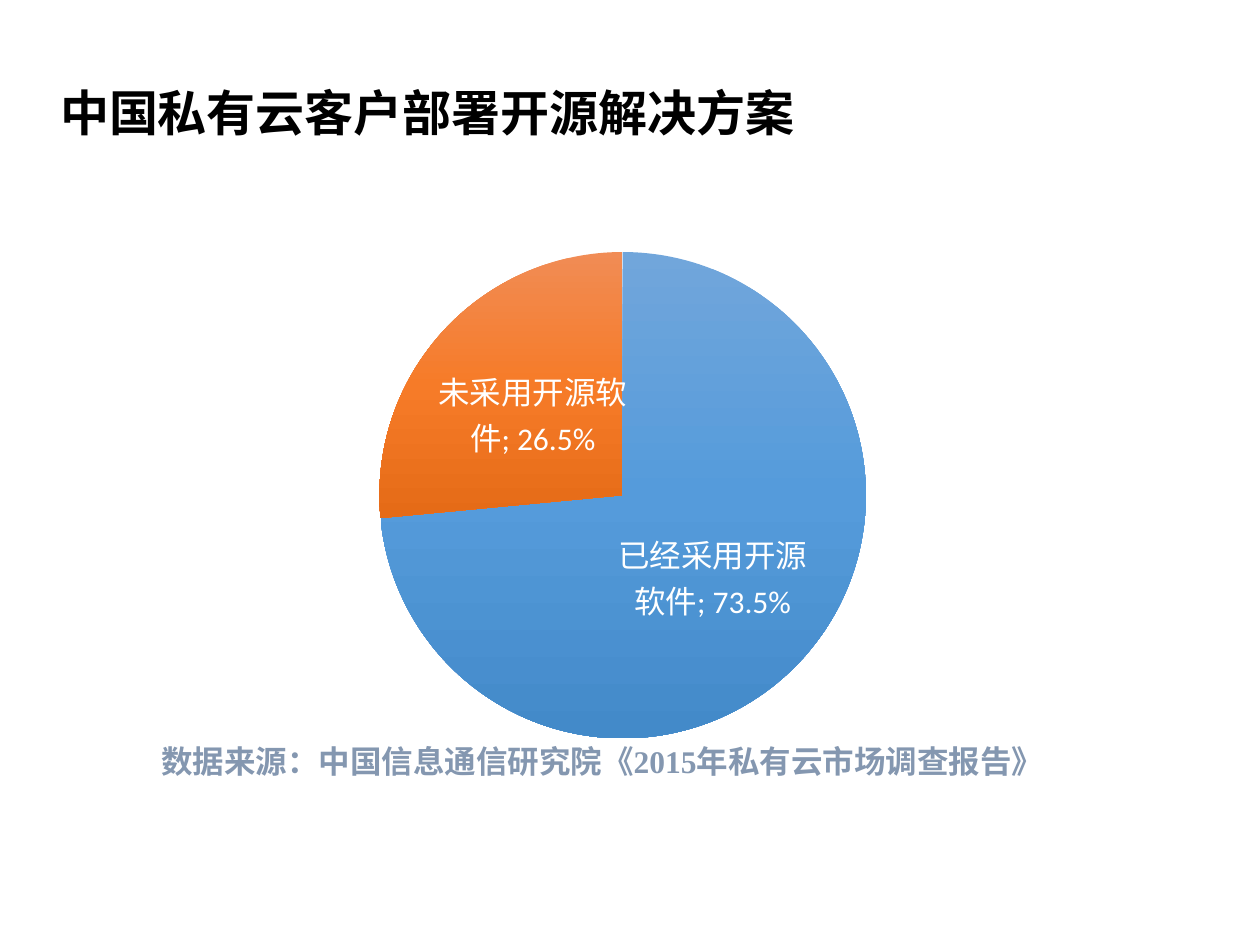
from lxml import etree
from pptx import Presentation
from pptx.chart.data import CategoryChartData
from pptx.dml.color import RGBColor
from pptx.enum import chart as ch, text
from pptx.oxml.ns import qn
from pptx.util import Pt

BLACK = RGBColor(0x00, 0x00, 0x00)
WHITE = RGBColor(0xFF, 0xFF, 0xFF)
SLATE = RGBColor(0x84, 0x97, 0xB0)
BLUES = (RGBColor(0x71, 0xA6, 0xDB), RGBColor(0x55, 0x9B, 0xDB), RGBColor(0x43, 0x8A, 0xC9))
ORANGES = (RGBColor(0xF1, 0x8C, 0x55), RGBColor(0xF6, 0x7B, 0x28), RGBColor(0xE5, 0x6B, 0x17))
CJK = "Noto Sans CJK JP"


def place(sp, left, top, width, height):
    sp.left, sp.top, sp.width, sp.height = Pt(left), Pt(top), Pt(width), Pt(height)


def write(sp, words, size, font, color, align):
    tf = sp.text_frame
    tf.word_wrap = True
    tf.auto_size = text.MSO_AUTO_SIZE.NONE
    tf.vertical_anchor = text.MSO_ANCHOR.MIDDLE
    p = tf.paragraphs[0]
    p.alignment = align
    p.line_spacing = 1.0
    r = p.add_run()
    r.text = words
    r.font.size = Pt(size)
    r.font.bold = True
    r.font.name = font
    r.font.color.rgb = color
    etree.SubElement(r.font._element, qn("a:ea"), typeface=CJK)


def fill_gradient(fill, colors):
    fill.gradient()
    fill.gradient_angle = 270
    stops = fill._xPr.find(qn("a:gradFill")).find(qn("a:gsLst"))
    for stop in list(stops):
        stops.remove(stop)
    for i, color in enumerate(colors):
        stop = etree.SubElement(stops, qn("a:gs"), pos=str(i * 50000))
        etree.SubElement(stop, qn("a:srgbClr"), val=str(color))


def set_plot_layout(chart, **fractions):
    area = chart._chartSpace.find(".//" + qn("c:plotArea"))
    layout = area.find(qn("c:layout"))
    if layout is None:
        layout = etree.Element(qn("c:layout"))
        area.insert(0, layout)
    manual = etree.SubElement(layout, qn("c:manualLayout"))
    settings = {"layoutTarget": "inner", "xMode": "edge", "yMode": "edge", **fractions}
    for name, value in settings.items():
        etree.SubElement(manual, qn("c:" + name), val=str(value))


def label_slices(plot):
    plot.has_data_labels = True
    labels = plot.data_labels
    labels.show_category_name = True
    labels.show_value = True
    labels.show_percentage = False
    labels.number_format = "0.0%"
    labels.number_format_is_linked = False
    labels.position = ch.XL_LABEL_POSITION.CENTER
    labels.font.size = Pt(18)
    labels.font.name = "Calibri"
    labels.font.color.rgb = WHITE
    separator = etree.Element(qn("c:separator"))
    separator.text = "; "
    last_flag = labels._element.find(qn("c:showBubbleSize"))
    if last_flag is None:
        last_flag = labels._element.find(qn("c:showPercent"))
    last_flag.addnext(separator)


def add_pie(s, shares, palettes, left, top, width, height):
    data = CategoryChartData(number_format="0.0%")
    data.categories = list(shares)
    data.add_series("Series 1", list(shares.values()))
    frame = s.shapes.add_chart(ch.XL_CHART_TYPE.PIE, Pt(left), Pt(top), Pt(width), Pt(height), data)
    chart = frame.chart
    chart.has_legend = False
    chart.has_title = False
    chart.font.size = Pt(18)
    chart.font.name = "Calibri"
    plot = chart.plots[0]
    plot.vary_by_categories = True
    for i, colors in enumerate(palettes):
        point = plot.series[0].points[i]
        fill_gradient(point.format.fill, colors)
        point.format.line.fill.background()
    label_slices(plot)
    set_plot_layout(chart, x=0.2, y=0, w=0.61, h=1)


def add_source(s, words, left, top, width, height):
    sp = s.shapes.add_textbox(Pt(left), Pt(top), Pt(width), Pt(height))
    write(sp, words, 18, "Times New Roman", SLATE, text.PP_ALIGN.LEFT)


def main():
    prs = Presentation()
    prs.slide_width, prs.slide_height = Pt(720), Pt(540)
    s = prs.slides.add_slide(prs.slide_layouts[5])
    title = s.shapes.title
    place(title, 14.4, 43.2, 459.4, 41)
    write(title, "中国私有云客户部署开源解决方案", 28, CJK, BLACK, text.PP_ALIGN.CENTER)
    shares = {"已经采用开源软件": 0.735, "未采用开源软件": 0.265}
    add_pie(s, shares, (BLUES, ORANGES), 121.7, 144, 463.7, 278)
    add_source(s, "数据来源：中国信息通信研究院《2015年私有云市场调查报告》", 85, 420.5, 551.5, 28.8)
    prs.save("out.pptx")


if __name__ == "__main__":
    main()
